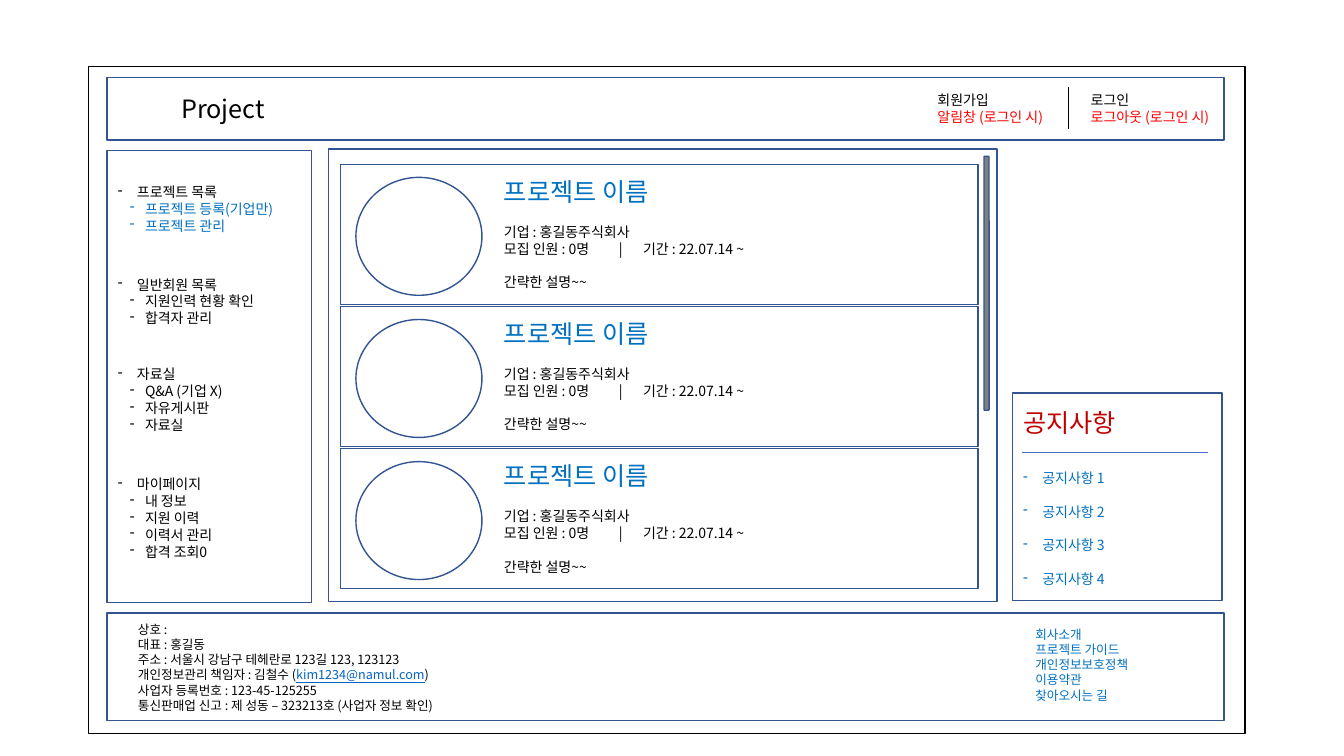
from dataclasses import dataclass

from lxml import etree
from pptx import Presentation
from pptx.dml.color import RGBColor
from pptx.enum.shapes import MSO_CONNECTOR, MSO_SHAPE
from pptx.oxml.ns import qn
from pptx.util import Inches, Pt

RECTANGLE = MSO_SHAPE.RECTANGLE
ROUNDED = MSO_SHAPE.ROUNDED_RECTANGLE
OVAL = MSO_SHAPE.OVAL
STRAIGHT = MSO_CONNECTOR.STRAIGHT


@dataclass(frozen=True)
class Theme:
    font: str = "Noto Sans CJK KR"
    ink: str = "000000"
    paper: str = "FFFFFF"
    outline: str = "325491"
    rule: str = "4472C4"
    accent: str = "0070C0"
    alert: str = "FF0000"
    notice: str = "C00000"
    email: str = "0563C1"
    scrollbar: str = "808080"
    title: int = 18
    body: int = 10
    small: int = 9
    gap: int = 12


@dataclass(frozen=True)
class Box:
    left: float
    top: float
    width: float
    height: float

    def inner(self, left, top, width, height):
        return Box(self.left + left, self.top + top, width, height)

    def lengths(self):
        return [Inches(n) for n in (self.left, self.top, self.width, self.height)]


THEME = Theme()
MENUS = [
    (0.28, "프로젝트 목록", ["프로젝트 등록(기업만)", "프로젝트 관리"], THEME.accent),
    (1.2, "일반회원 목록", ["지원인력 현황 확인", "합격자 관리"], THEME.ink),
    (2.09, "자료실", ["Q&A (기업 X)", "자유게시판", "자료실"], THEME.ink),
    (3.18, "마이페이지", ["내 정보", "지원 이력", "이력서 관리", "합격 조회0"], THEME.ink),
]
COMPANY = [
    "상호 :",
    "대표 : 홍길동",
    "주소 : 서울시 강남구 테헤란로 123길 123, 123123",
    "개인정보관리 책임자 : 김철수 (",
    "사업자 등록번호 : 123-45-125255",
    "통신판매업 신고 : 제 성동 – 323213호 (사업자 정보 확인)",
]
FOOTER_LINKS = ["회사소개", "프로젝트 가이드", "개인정보보호정책", "이용약관", "찾아오시는 길"]


def add_outline(shapes, kind, box, fill=None, line=THEME.outline):
    shape = shapes.add_shape(kind, *box.lengths())
    shape.shadow.inherit = False
    if fill:
        shape.fill.solid()
        shape.fill.fore_color.rgb = RGBColor.from_string(fill)
    else:
        shape.fill.background()
    shape.line.color.rgb = RGBColor.from_string(line)
    shape.line.width = Pt(1)
    return shape


def add_rule(shapes, start, end, color):
    connector = shapes.add_connector(STRAIGHT, *[Inches(n) for n in (*start, *end)])
    connector.line.color.rgb = RGBColor.from_string(color)
    connector.line.width = Pt(0.5)
    etree.SubElement(connector._element.spPr, qn("a:effectLst"))


def add_text_frame(shapes, box):
    frame = shapes.add_textbox(*box.lengths()).text_frame
    frame.word_wrap = True
    return frame


def add_run(paragraph, text, size=THEME.body, color=THEME.ink, underline=None):
    run = paragraph.add_run()
    run.text = text
    run.font.size = Pt(size)
    run.font.name = THEME.font
    run.font.color.rgb = RGBColor.from_string(color)
    run.font.underline = underline
    etree.SubElement(run._r.get_or_add_rPr(), qn("a:ea"), typeface=THEME.font)


def write(frame, text, before=0, margin=0, hanging=0, tabs=(), **style):
    paragraph = frame.paragraphs[0]
    if paragraph.runs:
        paragraph = frame.add_paragraph()
    paragraph.space_before = Pt(before)
    properties = paragraph._p.get_or_add_pPr()
    if hanging:
        properties.set("marL", str(Inches(margin)))
        properties.set("indent", str(-Inches(hanging)))
        etree.SubElement(properties, qn("a:buChar"), char="-")
    if tabs:
        tab_list = etree.SubElement(properties, qn("a:tabLst"))
        for stop in tabs:
            etree.SubElement(tab_list, qn("a:tab"), pos=str(Inches(stop)), algn="l")
    add_run(paragraph, text, **style)
    return paragraph


def add_header(shapes, box):
    title = add_text_frame(shapes, box.inner(0.64, 0.11, 1.63, 0.4))
    write(title, "Project", size=THEME.title)
    add_outline(shapes, RECTANGLE, box)
    accounts = [(8.14, "회원가입", "알림창 (로그인 시)"), (9.66, "로그인", "로그아웃 (로그인 시)")]
    for left, label, signed_in in accounts:
        frame = add_text_frame(shapes, box.inner(left, 0.09, 1.63, 0.44))
        write(frame, label)
        write(frame, signed_in, color=THEME.alert)
    divider = box.left + 9.54
    add_rule(shapes, (divider, box.top + 0.09), (divider, box.top + 0.51), THEME.ink)


def add_sidebar(shapes, box):
    add_outline(shapes, RECTANGLE, box)
    for top, heading, items, color in MENUS:
        height = 0.1 + (len(items) + 1) * 0.17
        frame = add_text_frame(shapes, box.inner(0.01, top, box.width, height))
        write(frame, heading, margin=0.19, hanging=0.19)
        for item in items:
            write(frame, item, margin=0.27, hanging=0.15, color=color)


def add_project_card(shapes, box):
    card = shapes.add_group_shape().shapes
    add_outline(card, RECTANGLE, box)
    add_outline(card, OVAL, box.inner(0.15, 0.13, 1.25, 1.17))
    frame = add_text_frame(card, box.inner(1.52, 0.07, 4.42, 1.25))
    write(frame, "프로젝트 이름", size=THEME.title, color=THEME.accent)
    write(frame, "기업 : 홍길동주식회사", before=THEME.gap)
    write(frame, "모집 인원 : 0명\t|\t기간 : 22.07.14 ~", tabs=(1.14, 1.38))
    write(frame, "간략한 설명~~", before=THEME.gap)


def add_project_list(shapes, box):
    add_outline(shapes, RECTANGLE, box)
    for index in range(3):
        add_project_card(shapes, box.inner(0.12, 0.15 + index * 1.41, 6.32, 1.39))
    add_outline(shapes, ROUNDED, box.inner(6.5, 0.07, 0.05, 2.52), fill=THEME.scrollbar)


def add_notices(shapes, box):
    add_outline(shapes, RECTANGLE, box)
    heading = add_text_frame(shapes, box.inner(0.01, 0.09, 2.03, 0.4))
    write(heading, "공지사항", size=THEME.title, color=THEME.notice)
    rule_top = box.top + 0.59
    add_rule(shapes, (box.left + 0.1, rule_top), (box.left + 1.94, rule_top), THEME.rule)
    frame = add_text_frame(shapes, box.inner(0.01, 0.71, 2.03, 1.28))
    for number in range(1, 5):
        write(frame, f"공지사항 {number}", before=THEME.gap if number > 1 else 0,
              margin=0.19, hanging=0.19, color=THEME.accent)


def add_footer(shapes, box):
    add_outline(shapes, RECTANGLE, box)
    company = add_text_frame(shapes, box.inner(0.21, 0.04, 4.7, 1.01))
    for line in COMPANY:
        paragraph = write(company, line, size=THEME.small)
        if line.endswith("("):
            add_run(paragraph, "kim1234@namul.com", size=THEME.small,
                    color=THEME.email, underline=True)
            add_run(paragraph, ")", size=THEME.small)
    links = add_text_frame(shapes, box.inner(9.11, 0.09, 1.9, 0.86))
    for line in FOOTER_LINKS:
        write(links, line, size=THEME.small, color=THEME.accent)


def main():
    presentation = Presentation()
    presentation.slide_width = Inches(13.33)
    presentation.slide_height = Inches(7.5)
    slide = presentation.slides.add_slide(presentation.slide_layouts[6])
    shapes = slide.shapes
    page = Box(0.88, 0.66, 11.47, 6.62)
    add_outline(shapes, RECTANGLE, page, fill=THEME.paper, line=THEME.ink)
    add_header(shapes, page.inner(0.18, 0.11, 11.08, 0.62))
    add_sidebar(shapes, page.inner(0.18, 0.83, 2.03, 4.49))
    add_project_list(shapes, page.inner(2.38, 0.82, 6.63, 4.49))
    add_notices(shapes, page.inner(9.16, 3.24, 2.08, 2.06))
    add_footer(shapes, page.inner(0.18, 5.42, 11.08, 1.07))
    presentation.save("out.pptx")


if __name__ == "__main__":
    main()
